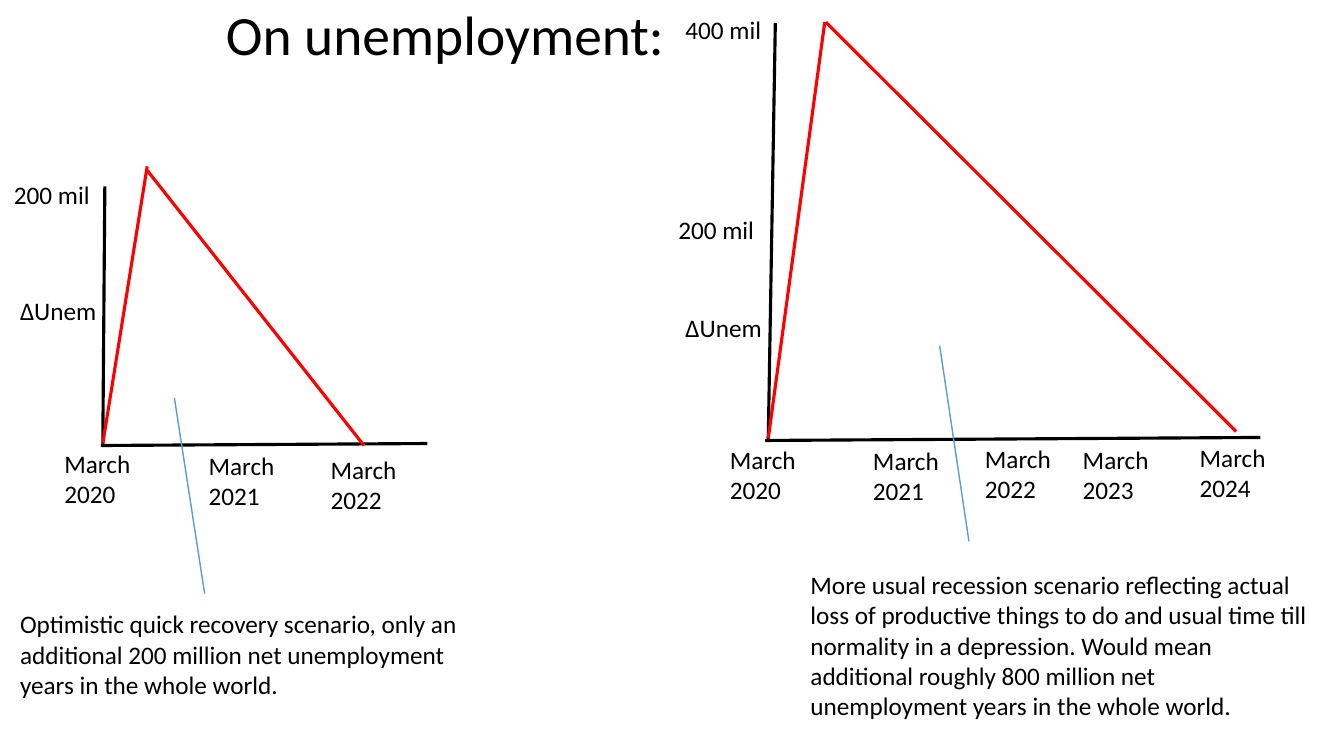
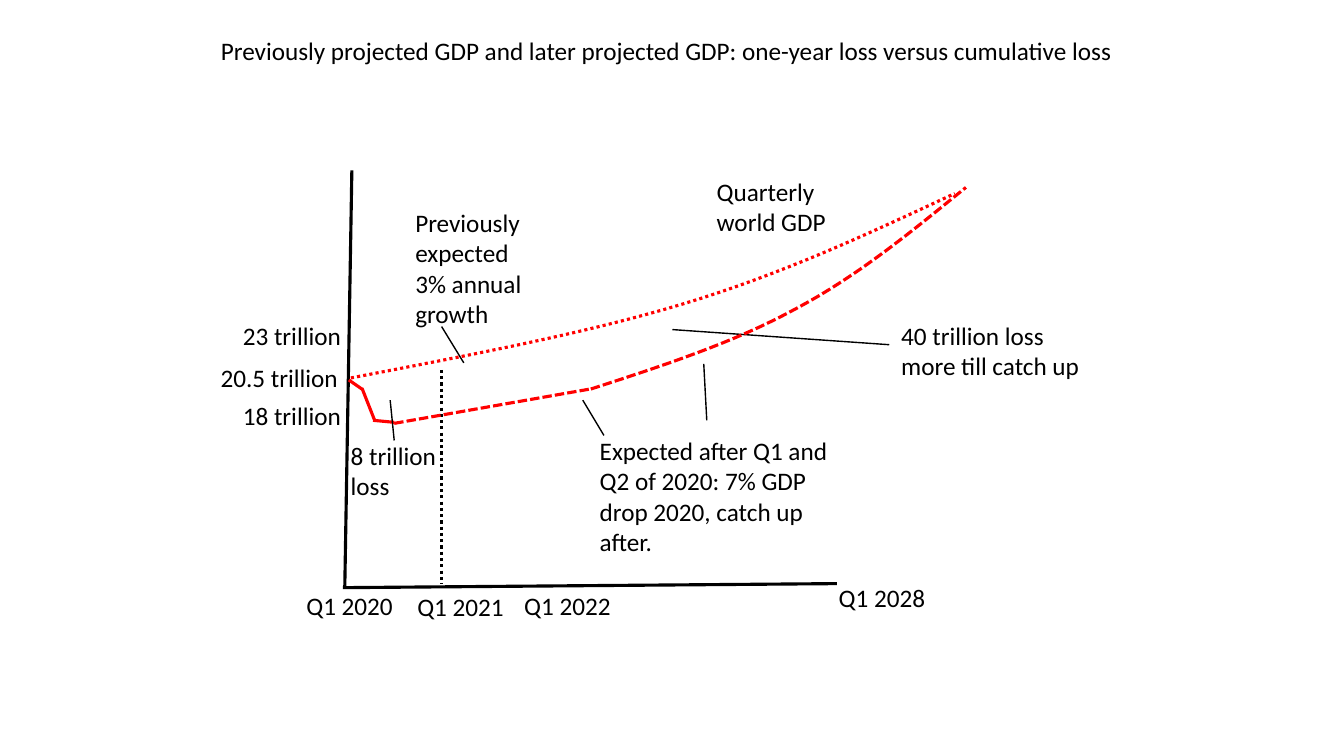
from dataclasses import dataclass

from lxml import etree
from pptx import Presentation
from pptx.dml.color import RGBColor
from pptx.enum.dml import MSO_LINE
from pptx.enum.shapes import MSO_CONNECTOR
from pptx.enum.text import MSO_ANCHOR, MSO_AUTO_SIZE, PP_ALIGN
from pptx.oxml.ns import qn
from pptx.slide import Slide
from pptx.util import Emu, Inches, Pt

STRAIGHT = MSO_CONNECTOR.STRAIGHT
DASHED, DOTTED = MSO_LINE.SQUARE_DOT, MSO_LINE.ROUND_DOT
LEFT, TOP, MIDDLE = PP_ALIGN.LEFT, MSO_ANCHOR.TOP, MSO_ANCHOR.MIDDLE
FIXED, GROW = MSO_AUTO_SIZE.NONE, MSO_AUTO_SIZE.SHAPE_TO_FIT_TEXT

COLORS = {"ink": "000000", "curve": "FF0000", "pointer": "5B9BD5"}
FONT = "Calibri"
BODY_SIZE = 18
CELL = Inches(0.1)
LINE_ROWS = 3.03
INSET_ROWS = 1
THICK, THIN = 2.25, 1
CURVE_STEPS = 16
TITLE_ONLY = 5

Point = tuple[float, float]


@dataclass(frozen=True)
class Title:
    text: str
    col: float
    row: float
    cols: float
    rows: float
    size: float
    spacing: float = 1


@dataclass(frozen=True)
class Label:
    text: str
    col: float
    row: float
    lines: int = 1
    cols: float = 13.1


@dataclass(frozen=True)
class Stroke:
    start: Point
    end: Point
    color: str = "ink"
    width: float = THICK
    dash: MSO_LINE | None = None


@dataclass(frozen=True)
class Curve:
    start: Point
    beziers: tuple[tuple[Point, Point, Point], ...]
    dash: MSO_LINE


@dataclass(frozen=True)
class Page:
    title: Title
    strokes: list[Stroke]
    labels: list[Label]
    curves: tuple[Curve, ...] = ()


UNEMPLOYMENT = Page(
    Title("On unemployment:", 21.4, 0.5, 115, 6.5, 39.6, 0.9),
    [
        Stroke((10.4, 18.5), (10.2, 44.1)),
        Stroke((42.4, 44), (10, 44.2)),
        Stroke((76.9, 2.3), (76.2, 43.6)),
        Stroke((125, 43.4), (75.9, 43.7)),
        Stroke((10.2, 44), (14.6, 16.5), "curve"),
        Stroke((36.1, 44.2), (14.6, 16.9), "curve"),
        Stroke((76.2, 43.5), (81.8, 2.2), "curve"),
        Stroke((122.6, 42.8), (81.9, 2.2), "curve"),
        Stroke((17.3, 39.5), (20.3, 58.9), "pointer", THIN),
        Stroke((93.2, 34.3), (96.1, 53.7), "pointer", THIN),
    ],
    [
        Label("200 mil", 0.4, 17.3),
        Label("ΔUnem", 1, 28.8),
        Label("March 2020", 5.4, 44, 2),
        Label("March 2021", 19.7, 44.2, 2),
        Label("March 2022", 31.8, 44.6, 2),
        Label("Optimistic quick recovery scenario, only an additional 200 million "
              "net unemployment years in the whole world.", 1, 59.9, 3, 47.8),
        Label("400 mil", 67, 0.9),
        Label("200 mil", 66.3, 20.8),
        Label("ΔUnem", 67, 30.5),
        Label("March 2020", 71.4, 43.6, 2),
        Label("March 2021", 85.6, 43.7, 2),
        Label("March 2022", 96.7, 43.5, 2),
        Label("March 2023", 106.4, 43.6, 2),
        Label("March 2024", 118, 43.4, 2),
        Label("More usual recession scenario reflecting actual loss of productive "
              "things to do and usual time till normality in a depression. Would "
              "mean additional roughly 800 million net unemployment years in the "
              "whole world.", 79.4, 56, 5, 51.7),
    ],
)

GDP = Page(
    Title("Previously projected GDP and later projected GDP: one-year loss versus "
          "cumulative loss", 20.9, 3, 95.5, 4, BODY_SIZE),
    [
        Stroke((34.9, 16.9), (34.2, 58.2)),
        Stroke((83, 57.9), (34, 58.3)),
        Stroke((43.8, 36.7), (43.8, 57.9), dash=DOTTED),
        Stroke((34.6, 37.7), (35.9, 38.6), "curve"),
        Stroke((35.9, 38.5), (37.2, 41.8), "curve"),
        Stroke((37, 41.7), (39.1, 41.9), "curve"),
        Stroke((39.1, 42), (58.5, 38.6), "curve", dash=DASHED),
        Stroke((43.8, 32.4), (46, 36), width=THIN),
        Stroke((57.8, 39.7), (59.9, 43.2), width=THIN),
        Stroke((38.7, 39.7), (39.1, 43.7), width=THIN),
        Stroke((69.8, 36.1), (70.1, 41.7), width=THIN),
        Stroke((66.7, 32.7), (88.2, 34.2), width=THIN),
    ],
    [
        Label("23 trillion", 23.1, 31.3),
        Label("20.5 trillion", 20.9, 35.5, cols=15.7),
        Label("18 trillion", 23.1, 39.2),
        Label("Q1 2020", 29.4, 58.1),
        Label("Q1 2021", 40.4, 58.2),
        Label("Q1 2022", 51, 58.1),
        Label("Q1 2028", 82.2, 57.3),
        Label("Quarterly world GDP", 70.1, 17, 2),
        Label("Previously expected 3% annual growth", 40.2, 20.1, 4),
        Label("8 trillion loss", 33.8, 43.2, 2, 10.6),
        Label("Expected after Q1 and Q2 of 2020: 7% GDP drop 2020, catch up after.",
              58.5, 42.7, 4, 27.6),
        Label("40 trillion loss more till catch up", 88.4, 31.3, 2, 20),
    ],
    (
        Curve((34.8, 37.5), (
            ((46.2, 35.3), (57.6, 33.2), (67.6, 30.2)),
            ((77.6, 27.2), (86.1, 23.2), (94.7, 19.2)),
        ), DOTTED),
        Curve((58.6, 38.6), (
            ((65.7, 36.3), (72.8, 34), (79, 30.6)),
            ((85.2, 27.3), (90.5, 22.9), (95.8, 18.6)),
        ), DASHED),
    ),
)


def cells(*counts: float) -> list[Emu]:
    return [Emu(round(n * CELL)) for n in counts]


def rgb(name: str) -> RGBColor:
    return RGBColor.from_string(COLORS[name])


def write(tf, text: str, *, size: float = BODY_SIZE, color: str = "ink",
          anchor=TOP, fit=GROW, spacing: float = 1) -> None:
    tf.word_wrap = True
    tf.auto_size = fit
    tf.vertical_anchor = anchor
    p = tf.paragraphs[0]
    p.alignment = LEFT
    p.line_spacing = spacing
    r = p.add_run()
    r.text = text
    r.font.name = FONT
    r.font.size = Pt(size)
    r.font.color.rgb = rgb(color)


def style_line(line, color: str, width: float, dash: MSO_LINE | None) -> None:
    line.color.rgb = rgb(color)
    line.width = Pt(width)
    if dash is not None:
        line.dash_style = dash


def draw_title(s: Slide, title: Title) -> None:
    sp = s.shapes.title
    sp.left, sp.top, sp.width, sp.height = cells(
        title.col, title.row, title.cols, title.rows)
    write(sp.text_frame, title.text, size=title.size, anchor=MIDDLE,
          fit=FIXED, spacing=title.spacing)


def draw_label(s: Slide, label: Label) -> None:
    rows = INSET_ROWS + LINE_ROWS * label.lines
    sp = s.shapes.add_textbox(*cells(label.col, label.row, label.cols, rows))
    write(sp.text_frame, label.text)


def draw_stroke(s: Slide, stroke: Stroke) -> None:
    sp = s.shapes.add_connector(STRAIGHT, *cells(*stroke.start, *stroke.end))
    style_line(sp.line, stroke.color, stroke.width, stroke.dash)
    etree.SubElement(sp._element.spPr, qn("a:effectLst"))


def bezier_point(a: Point, b: Point, c: Point, d: Point, t: float) -> Point:
    u = 1 - t
    x, y = (u**3 * i + 3 * u * u * t * j + 3 * u * t * t * k + t**3 * m
            for i, j, k, m in zip(a, b, c, d))
    return x, y


def draw_curve(s: Slide, curve: Curve) -> None:
    points, start = [], curve.start
    for b, c, end in curve.beziers:
        points += [cells(*bezier_point(start, b, c, end, i / CURVE_STEPS))
                   for i in range(1, CURVE_STEPS + 1)]
        start = end
    builder = s.shapes.build_freeform(*cells(*curve.start))
    builder.add_line_segments(points, close=False)
    sp = builder.convert_to_shape()
    sp.shadow.inherit = False
    sp.fill.background()
    style_line(sp.line, "curve", THICK, curve.dash)


def draw_page(prs, page: Page) -> None:
    s = prs.slides.add_slide(prs.slide_layouts[TITLE_ONLY])
    draw_title(s, page.title)
    for stroke in page.strokes:
        draw_stroke(s, stroke)
    for curve in page.curves:
        draw_curve(s, curve)
    for label in page.labels:
        draw_label(s, label)


def main() -> None:
    prs = Presentation()
    prs.slide_width, prs.slide_height = Inches(13.33), Inches(7.5)
    for page in (UNEMPLOYMENT, GDP):
        draw_page(prs, page)
    prs.save("out.pptx")


if __name__ == "__main__":
    main()
